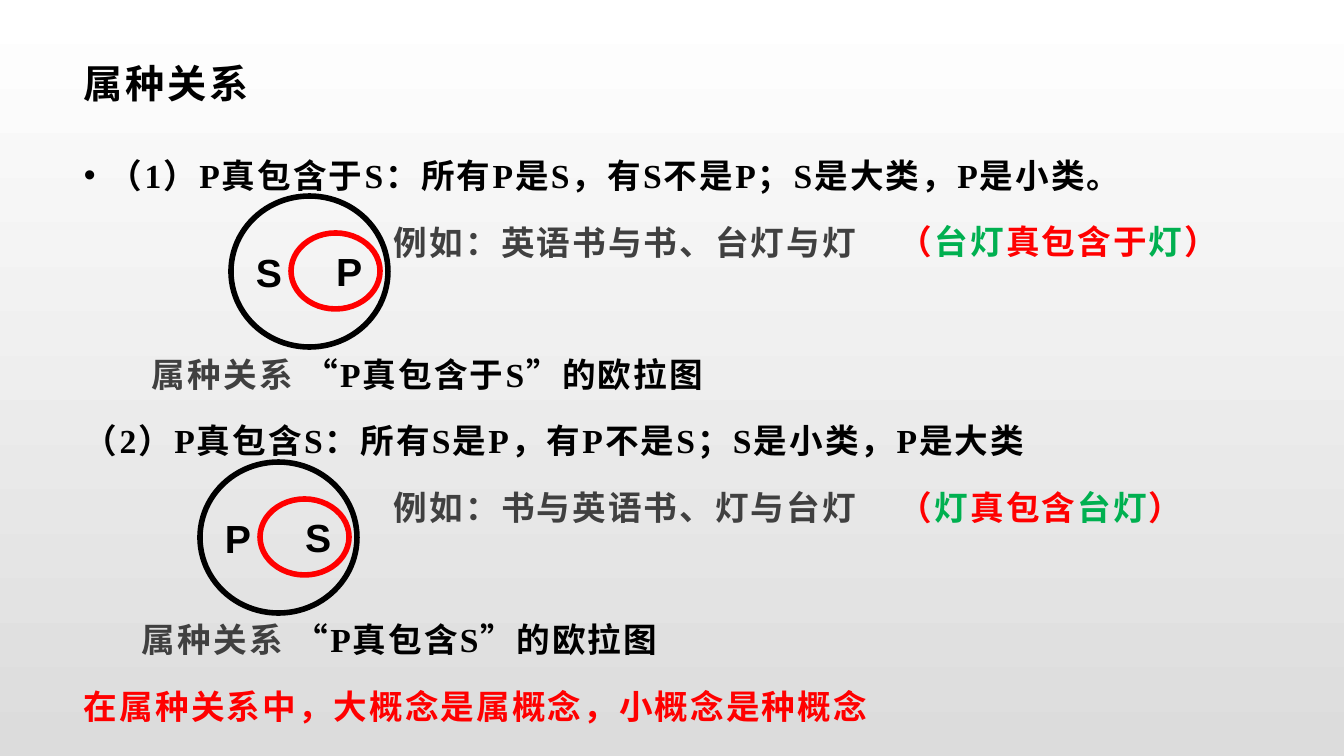
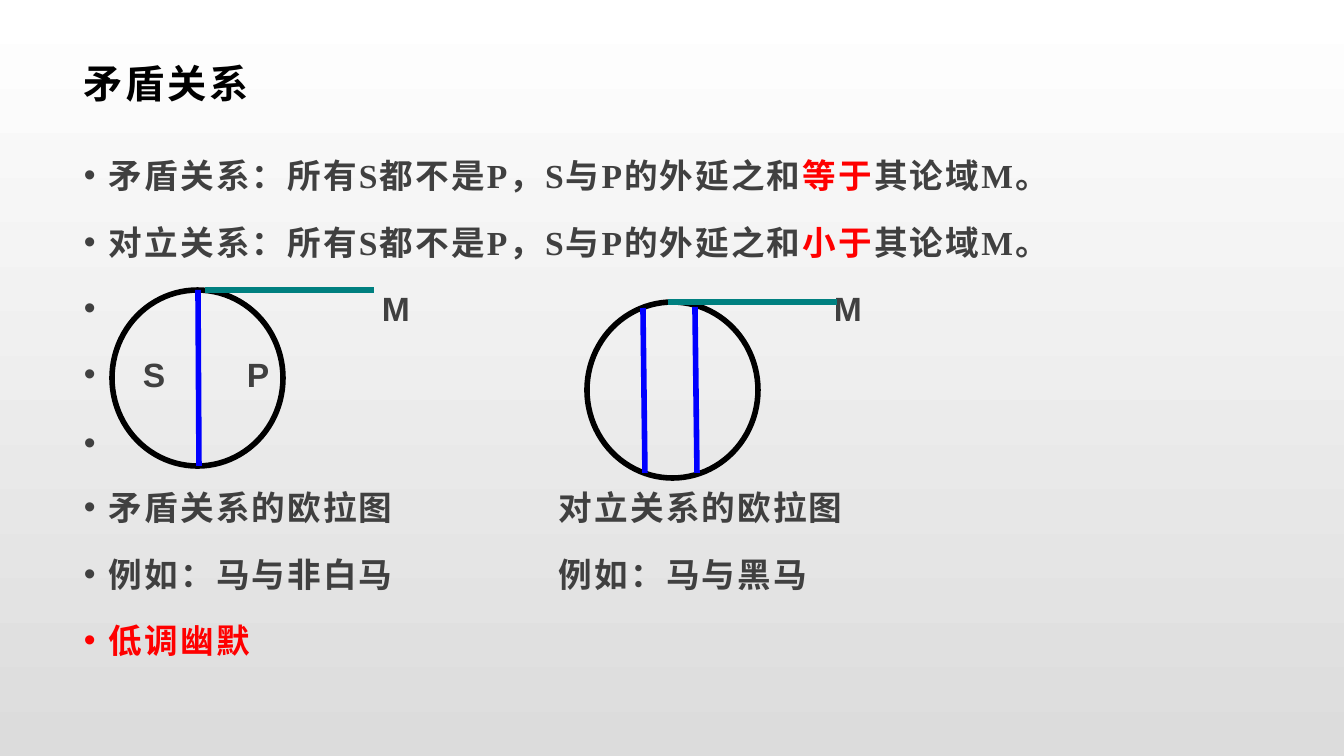
import pptx
import pptx.dml.color
import pptx.enum.shapes
import pptx.enum.text
import pptx.oxml.ns
import pptx.util
from lxml import etree

RGBColor = pptx.dml.color.RGBColor
BLACK = RGBColor(0x00, 0x00, 0x00)
GRAY = RGBColor(0x40, 0x40, 0x40)
RED = RGBColor(0xFF, 0x00, 0x00)
GREEN = RGBColor(0x00, 0xB0, 0x50)
BLUE = RGBColor(0x00, 0x00, 0xFF)
TEAL = RGBColor(0x00, 0x80, 0x80)
GRADIENT = (RGBColor(0xFF, 0xFF, 0xFF), RGBColor(0xDC, 0xDC, 0xDC))

SERIF = "Times New Roman"
SANS = "Arial"
EMU_PER_PX = 914400 / 100.8
BODY_LEFT, BODY_TOP, BODY_WIDTH = 73, 143, 1197
TEXT_LEFT = BODY_LEFT + 11
ROW_PITCH = 66.4
BULLET_INDENT = 25


def px(length):
    return pptx.util.Emu(round(length * EMU_PER_PX))


def row_top(row):
    return BODY_TOP + round(row * ROW_PITCH)


def place(shape, left, top, width, height):
    shape.left, shape.top, shape.width, shape.height = map(px, (left, top, width, height))


def set_frame(frame, insets, anchor):
    frame.word_wrap = True
    frame.auto_size = pptx.enum.text.MSO_AUTO_SIZE.NONE
    frame.vertical_anchor = anchor
    frame.margin_left, frame.margin_top, frame.margin_right, frame.margin_bottom = map(px, insets)


def write(paragraph, text, size=24, color=GRAY, font=SERIF, bold=True, spacing=1.5):
    run = paragraph.add_run()
    run.text = text
    run.font.size = pptx.util.Pt(size)
    run.font.name = font
    run.font.bold = bold
    run.font.color.rgb = color
    run._r.get_or_add_rPr().set("spc", str(round(spacing * 100)))


def write_row(frame, *pieces, start=0, bullet=False, skipped=0, **text_format):
    """Add one line of (text, colour) pieces, after a gap of so many skipped rows."""
    paragraph = frame.paragraphs[0]
    if paragraph.runs:
        paragraph = frame.add_paragraph()
    paragraph.line_spacing = 1.3
    paragraph.space_before = px(round(skipped * ROW_PITCH))
    paragraph.space_after = pptx.util.Pt(10)
    properties = paragraph._p.get_or_add_pPr()
    properties.set("marL", str(px(start)))
    properties.set("indent", str(px(-start if bullet else 0)))
    if bullet:
        etree.SubElement(properties, pptx.oxml.ns.qn("a:buFont"), typeface=SANS)
        etree.SubElement(properties, pptx.oxml.ns.qn("a:buChar"), char="•")
    else:
        etree.SubElement(properties, pptx.oxml.ns.qn("a:buNone"))
    for text, color in pieces:
        write(paragraph, text, color=color, **text_format)


def add_label(slide, left, row, width, rows=1):
    """Return the frame of a text box that lines up with a row of the body."""
    box = slide.shapes.add_textbox(px(left), px(row_top(row)), px(width), px(rows * 66))
    set_frame(box.text_frame, (0, 0, 0, 0), pptx.enum.text.MSO_ANCHOR.TOP)
    return box.text_frame


def add_ellipse(slide, left, top, width, height, color=BLACK, text="", inset=0):
    ellipse = slide.shapes.add_shape(
        pptx.enum.shapes.MSO_SHAPE.OVAL, px(left), px(top), px(width), px(height))
    ellipse.shadow.inherit = False
    ellipse.fill.background()
    ellipse.line.color.rgb = color
    ellipse.line.width = pptx.util.Pt(4)
    if text:
        set_frame(ellipse.text_frame, (inset, 0, 0, 0), pptx.enum.text.MSO_ANCHOR.MIDDLE)
        paragraph = ellipse.text_frame.paragraphs[0]
        paragraph.alignment = pptx.enum.text.PP_ALIGN.LEFT
        write(paragraph, text, size=28, color=BLACK, font=SANS, spacing=0)


def add_line(slide, start, end, color):
    line = slide.shapes.add_connector(
        pptx.enum.shapes.MSO_CONNECTOR.STRAIGHT, *map(px, start + end))
    line.line.color.rgb = color
    line.line.width = pptx.util.Pt(4)
    etree.SubElement(line._element.spPr, pptx.oxml.ns.qn("a:effectLst"))


def add_nested_circles(slide, left, top, outer, inner):
    add_ellipse(slide, left, top, 157, 151, text=outer, inset=2)
    add_ellipse(slide, left + 60, top + 37, 89, 76, color=RED, text=inner, inset=32)


def set_background(master):
    fill = master.background.fill
    fill.gradient()
    fill.gradient_angle = 270
    for stop, color in zip(fill.gradient_stops, GRADIENT):
        stop.color.rgb = color


def add_slide(presentation, title, body_height):
    slide = presentation.slides.add_slide(presentation.slide_layouts[1])
    heading, body = slide.placeholders
    place(heading, BODY_LEFT, 47, BODY_WIDTH, 72)
    set_frame(heading.text_frame, (11, 4, 8, 4), pptx.enum.text.MSO_ANCHOR.MIDDLE)
    paragraph = heading.text_frame.paragraphs[0]
    paragraph.alignment = pptx.enum.text.PP_ALIGN.LEFT
    write(paragraph, title, size=28, color=BLACK, spacing=2)
    place(body, BODY_LEFT, BODY_TOP, BODY_WIDTH, body_height)
    set_frame(body.text_frame, (11, 0, 9, 0), pptx.enum.text.MSO_ANCHOR.TOP)
    return slide, body.text_frame


def add_inclusion_slide(presentation):
    slide, body = add_slide(presentation, "属种关系", 589)
    example_left = 394
    cases = (
        ("（1）P真包含于S：所有P是S，有S不是P；S是大类，P是小类。",
         "例如：英语书与书、台灯与灯", ("台灯", "真包含于", "灯"),
         " “P真包含于S”的欧拉图", 68, (231, 196), "SP"),
        ("（2）P真包含S：所有S是P，有P不是S；S是小类，P是大类",
         "例如：书与英语书、灯与台灯", ("灯", "真包含", "台灯"),
         " “P真包含S”的欧拉图", 58, (200, 462), "PS"),
    )
    for index, (rule, example, terms, caption, caption_start, corner, letters) in enumerate(cases):
        first = index == 0
        write_row(body, (rule, BLACK), start=BULLET_INDENT if first else 0, bullet=first)
        write_row(body, (example, GRAY), start=example_left - TEXT_LEFT)
        write_row(body, ("属种关系", GRAY), (caption, BLACK), start=caption_start, skipped=1)
        small, relation, large = terms
        write_row(add_label(slide, 899, 4 * index + 1, 360),
                  ("（", RED), (small, GREEN), (relation, RED), (large, GREEN), ("）", RED))
        add_nested_circles(slide, *corner, *letters)
    write_row(body, ("在属种关系中，大概念是属概念，小概念是种概念", RED))


def add_contradiction_slide(presentation):
    slide, body = add_slide(presentation, "矛盾关系", 555)
    for name, comparison in (("矛盾关系", "等于"), ("对立关系", "小于")):
        write_row(body, (name + "：所有S都不是P，S与P的外延之和", GRAY),
                  (comparison, RED), ("其论域M。", GRAY), start=BULLET_INDENT, bullet=True)
    for letter, left in (("M", 382), ("S", 143)):
        write_row(body, (letter, GRAY), start=left - TEXT_LEFT, bullet=True, font=SANS)
    write_row(body, ("•", GRAY), font=SANS, bold=False)
    for text, color in (("矛盾关系的欧拉图", GRAY), ("例如：马与非白马", GRAY), ("低调幽默", RED)):
        write_row(body, (text, color), start=BULLET_INDENT, bullet=True)

    for letter, left, row in (("M", 834, 2), ("P", 247, 3)):
        write_row(add_label(slide, left, row, 50), (letter, GRAY), font=SANS)
    opposition = add_label(slide, 559, 5, 400, rows=2)
    for text in ("对立关系的欧拉图", "例如：马与黑马"):
        write_row(opposition, (text, GRAY))

    diagrams = (
        (112, 290, 205, [((198, 290), (199, 466))]),
        (587, 302, 668, [((643, 308), (645, 473)), ((695, 307), (697, 473))]),
    )
    for left, top, domain_left, dividers in diagrams:
        add_ellipse(slide, left, top, 171, 176)
        for start, end in dividers:
            add_line(slide, start, end, BLUE)
        add_line(slide, (domain_left, top), (domain_left + 169, top), TEAL)


def main():
    presentation = pptx.Presentation()
    presentation.slide_width, presentation.slide_height = px(1344), px(756)
    set_background(presentation.slide_master)
    add_inclusion_slide(presentation)
    add_contradiction_slide(presentation)
    presentation.save("out.pptx")


if __name__ == "__main__":
    main()
